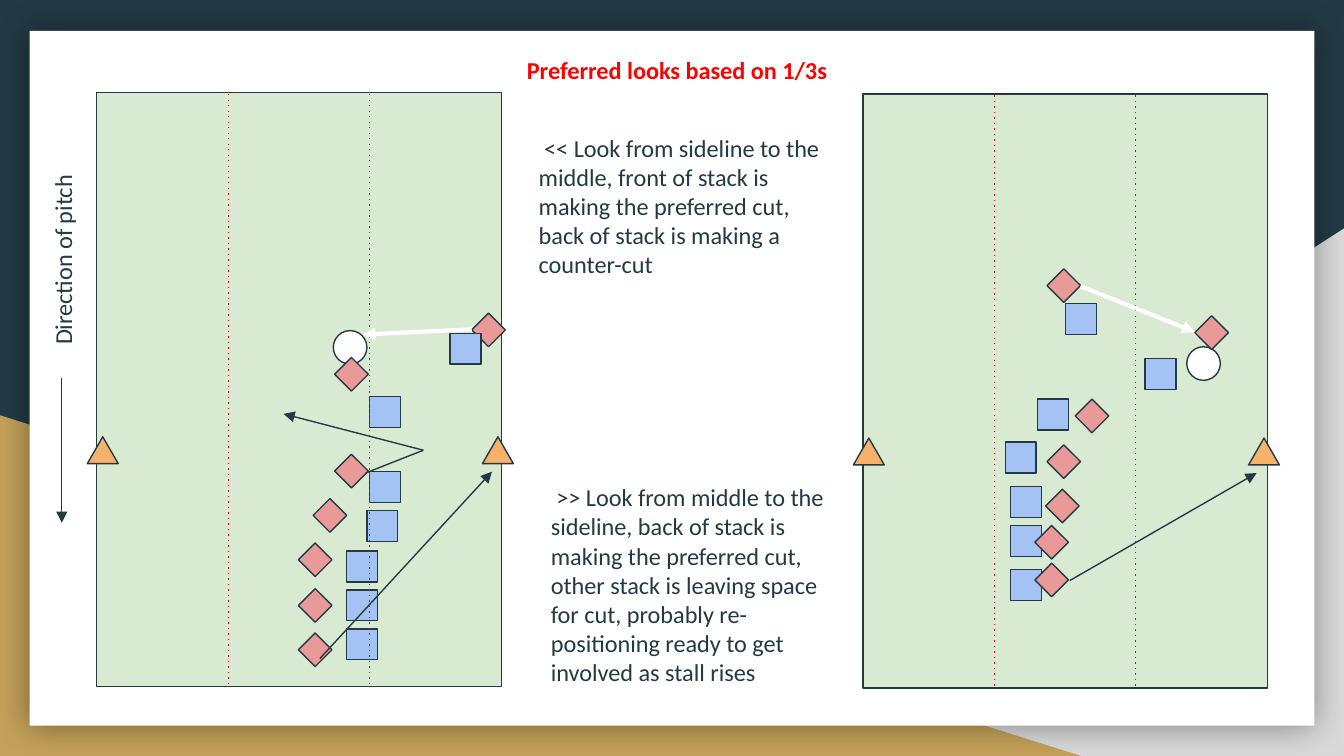
from lxml.etree import SubElement
from pptx import Presentation
from pptx.dml.color import RGBColor
from pptx.enum.shapes import MSO_CONNECTOR, MSO_SHAPE
from pptx.enum.text import MSO_ANCHOR, MSO_AUTO_SIZE, PP_ALIGN
from pptx.oxml.ns import qn
from pptx.util import Inches, Pt

SCALE = 9144  # EMU in one px, 100 px to the inch
NAVY, RED, WHITE = "233A44", "FF0000", "FFFFFF"
FONT = "Calibri"

# Marker kinds: preset shape, width, height, fill
MARKERS = {
    "disc": (MSO_SHAPE.OVAL, 25, 25, WHITE),
    "attacker": (MSO_SHAPE.DIAMOND, 25, 25, "EA9999"),
    "defender": (MSO_SHAPE.RECTANGLE, 23, 23, "A4C2F4"),
    "cone": (MSO_SHAPE.ISOSCELES_TRIANGLE, 23, 20, "F6B26B"),
}

# Markers as (kind, places) from back to front, relative to the pitch
SIDELINE_PLAYERS = [
    ("disc", [(176, 177)]),
    ("attacker", [(279, 164)]),
    ("defender", [(263, 179), (203, 226), (203, 282), (201, 311),
                  (186, 341), (186, 399), (186, 370)]),
    ("attacker", [(177, 197), (177, 269), (161, 302), (150, 335),
                  (150, 369), (150, 402)]),
]
MIDDLE_PLAYERS = [
    ("disc", [(241, 188)]),
    ("defender", [(210, 197), (151, 156), (130, 227), (106, 259),
                  (110, 292), (110, 354), (110, 321)]),
    ("attacker", [(137, 130), (158, 227), (137, 261), (136, 294),
                  (128, 321), (128, 349), (247, 165)]),
]

# Moves as (start, end, format)
PASS = {"color": WHITE, "width": 2.25, "arrow": True}
CUT = {"arrow": True}
SIDELINE_MOVES = [
    ((279, 176), (198, 180), PASS),
    ((243, 266), (139, 239), CUT),
    ((200, 283), (243, 266), {}),
    ((166, 421), (294, 282), CUT),
]
MIDDLE_MOVES = [
    ((162, 143), (247, 177), PASS),
    ((154, 362), (293, 282), CUT),
]


def px(length):
    return int(length * SCALE)


def rgb(value):
    return RGBColor.from_string(value)


def add_block(page, kind, box, fill, outline=NAVY):
    shape = page.shapes.add_shape(kind, *map(px, box))
    shape.shadow.inherit = False
    shape.fill.solid()
    shape.fill.fore_color.rgb = rgb(fill)
    if outline:
        shape.line.color.rgb = rgb(outline)
        shape.line.width = Pt(0.75)
    else:
        shape.line.fill.background()
    return shape


def add_line(page, start, end, color=NAVY, width=0.75, dash=None, arrow=False):
    line = page.shapes.add_connector(MSO_CONNECTOR.STRAIGHT, *map(px, (*start, *end)))
    line.line.color.rgb = rgb(color)
    line.line.width = Pt(width)
    stroke = line.line._get_or_add_ln()
    if dash:
        SubElement(stroke, qn("a:prstDash"), val=dash)
    if arrow:
        SubElement(stroke, qn("a:tailEnd"), type="triangle")
    SubElement(line._element.spPr, qn("a:effectLst"))


def write_text(holder, text, color=NAVY, bold=False, spacing=None, after=0):
    frame = holder.text_frame
    frame.word_wrap = True
    frame.auto_size = MSO_AUTO_SIZE.NONE
    frame.vertical_anchor = MSO_ANCHOR.TOP
    frame.margin_left = frame.margin_right = px(10)
    frame.margin_top = frame.margin_bottom = px(10)
    para = frame.paragraphs[0]
    para.alignment = PP_ALIGN.LEFT
    para.space_after = Pt(after)
    if spacing:
        para.line_spacing = spacing
    span = para.add_run()
    span.text = text
    span.font.name = FONT
    span.font.size = Pt(13)
    span.font.bold = bold
    span.font.color.rgb = rgb(color)


def add_note(page, box, text, rotation=0):
    note = page.shapes.add_textbox(*map(px, box))
    note.rotation = rotation
    write_text(note, text)


def draw_backdrop(page):
    page.background.fill.solid()
    page.background.fill.fore_color.rgb = rgb(NAVY)
    corner = add_block(page, MSO_SHAPE.RIGHT_TRIANGLE, (392, 170, 608, 393), "D9D9D9", None)
    corner._element.spPr.get_or_add_xfrm().set("flipH", "1")
    add_block(page, MSO_SHAPE.RIGHT_TRIANGLE, (0, 309, 806, 254), "C4A15A", None)
    card = add_block(page, MSO_SHAPE.RECTANGLE, (22, 23, 956, 517), WHITE, None)
    # Soft shadow round the card
    effects = card._element.spPr.find(qn("a:effectLst"))
    shadow = SubElement(effects, qn("a:outerShdw"), blurRad=str(Pt(18)), dist="0",
                        dir="0", algn="ctr", rotWithShape="0")
    tint = SubElement(shadow, qn("a:srgbClr"), val="000000")
    SubElement(tint, qn("a:alpha"), val="40000")


def place_title(page, box, text):
    title = page.shapes.title
    title.left, title.top, title.width, title.height = map(px, box)
    write_text(title, text, color=RED, bold=True, spacing=1.15, after=12)
    page.shapes._spTree.append(title._element)  # in front of the card


def draw_pitch(page, box, players, moves):
    left, top, width, height = box

    def at(point):
        return left + point[0], top + point[1]

    def add_marker(kind, point):
        preset, wide, high, fill = MARKERS[kind]
        add_block(page, preset, (*at(point), wide, high), fill)

    add_block(page, MSO_SHAPE.RECTANGLE, box, "D9EAD3")
    for kind, points in players:
        for point in points:
            add_marker(kind, point)
    # Cones on both sidelines
    for x in (-7, 287):
        add_marker("cone", (x, 256))
    # Lines between the thirds
    for x in (98, 203):
        add_line(page, at((x, 1)), at((x, height)), color=RED, dash="dot")
    for start, end, style in moves:
        add_line(page, at(start), at(end), **style)


def draw_direction(page):
    add_note(page, (-31, 168, 155, 42), "Direction of pitch", rotation=270)
    add_line(page, (46, 281), (46, 389), arrow=True)


def main():
    deck = Presentation()
    deck.slide_width, deck.slide_height = Inches(10), Inches(5.625)
    page = deck.slides.add_slide(deck.slide_layouts[5])

    draw_backdrop(page)
    place_title(page, (382, 28, 245, 42), "Preferred looks based on 1/3s")
    draw_direction(page)
    draw_pitch(page, (72, 69, 301, 442), SIDELINE_PLAYERS, SIDELINE_MOVES)
    draw_pitch(page, (642, 70, 301, 442), MIDDLE_PLAYERS, MIDDLE_MOVES)
    add_note(page, (391, 89, 235, 130),
             " << Look from sideline to the middle, front of stack is making the "
             "preferred cut, back of stack is making a counter-cut")
    add_note(page, (400, 349, 235, 173),
             " >> Look from middle to the sideline, back of stack is making the "
             "preferred cut, other stack is leaving space for cut, probably "
             "re-positioning ready to get involved as stall rises")
    deck.save("out.pptx")


if __name__ == "__main__":
    main()
